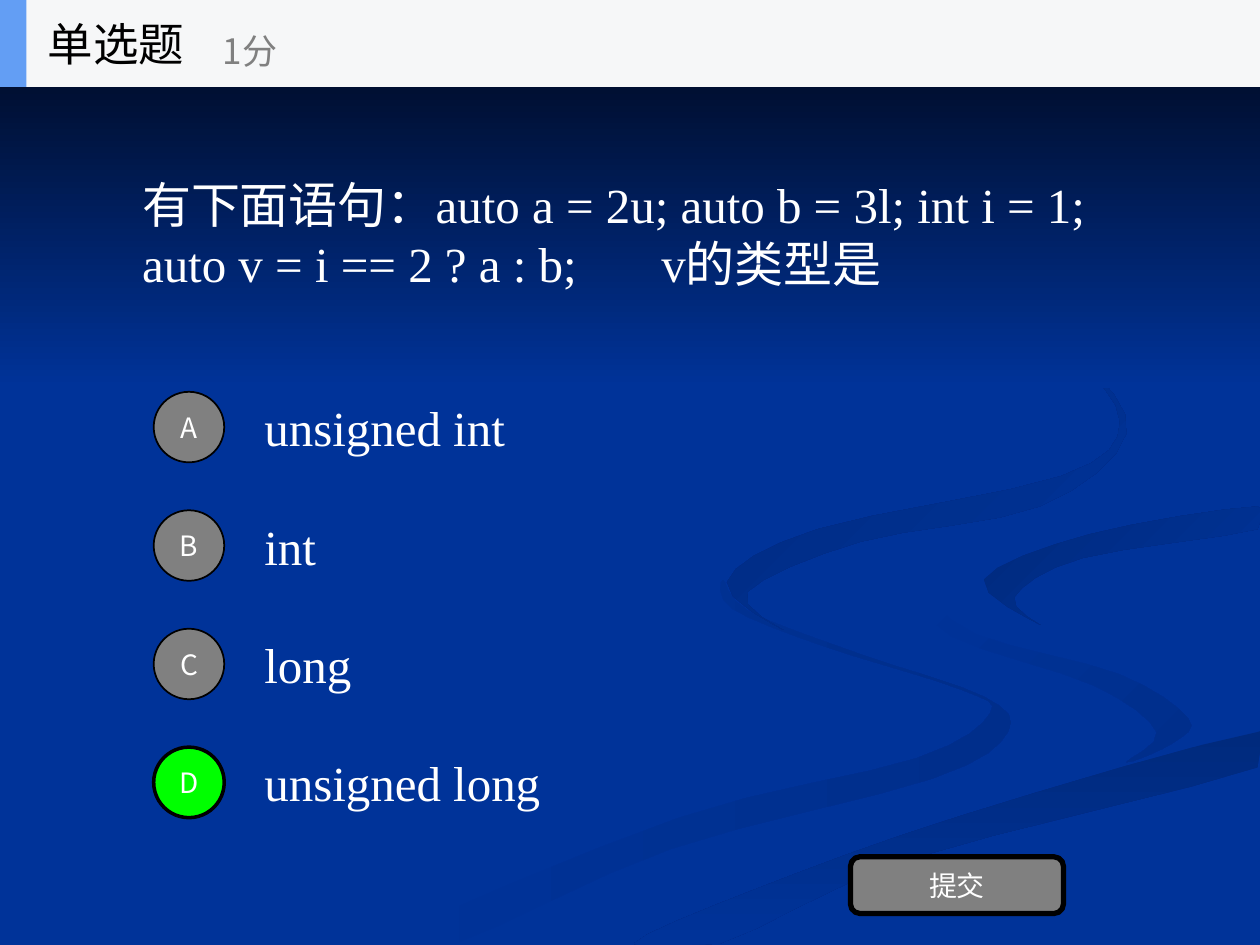
from lxml import etree
from pptx import Presentation
from pptx.dml.color import RGBColor
from pptx.enum.shapes import MSO_SHAPE
from pptx.enum.text import MSO_ANCHOR, MSO_AUTO_SIZE, PP_ALIGN
from pptx.oxml.ns import qn
from pptx.util import Inches, Pt

BLUE = RGBColor(0x00, 0x33, 0x99)
NIGHT = RGBColor(0x00, 0x05, 0x14)
WHITE = RGBColor(0xFF, 0xFF, 0xFF)
BLACK = RGBColor(0x00, 0x00, 0x00)
GRAY = RGBColor(0x80, 0x80, 0x80)
GREEN = RGBColor(0x00, 0xFF, 0x00)
HEADER = RGBColor(0xF6, 0xF7, 0xF8)
ACCENT = RGBColor(0x63, 0x9E, 0xF4)
SHADE = RGBColor(0x00, 0x2E, 0x8B)
DEEP_SHADE = RGBColor(0x00, 0x2A, 0x7D)
SERIF = "Times New Roman"
SANS = "Noto Sans CJK SC"


def paint(shape, start, end=None, angle=0, line=None, line_width=1):
    """Fill with one colour, or a gradient at a clockwise angle; outline if asked."""
    shape.shadow.inherit = False
    if end is None:
        shape.fill.solid()
        shape.fill.fore_color.rgb = start
    else:
        shape.fill.gradient()
        shape.fill.gradient_angle = -angle % 360
        for stop, color, position in zip(shape.fill.gradient_stops, (start, end), (0, 1)):
            stop.color.rgb = color
            stop.position = position
    if line is None:
        shape.line.fill.background()
    else:
        shape.line.color.rgb = line
        shape.line.width = Pt(line_width)


def write(shape, text, size, font, color, align=PP_ALIGN.LEFT):
    frame = shape.text_frame
    frame.text = text
    frame.word_wrap = True
    frame.auto_size = MSO_AUTO_SIZE.NONE
    frame.vertical_anchor = MSO_ANCHOR.MIDDLE
    frame.paragraphs[0].alignment = align
    run = frame.paragraphs[0].runs[0]
    run.font.size = Pt(size)
    run.font.name = font
    run.font.color.rgb = color
    east_asian = etree.SubElement(run.font._element, qn("a:ea"))
    east_asian.set("typeface", SANS)


prs = Presentation()
prs.slide_width = Inches(10)
prs.slide_height = Inches(7.5)
slide = prs.slides.add_slide(prs.slide_layouts[5])
shapes = slide.shapes
slide.background.fill.solid()
slide.background.fill.fore_color.rgb = BLUE

# Background ribbons: knots in inches, joined by a smooth closed curve
ribbons = [
    ([(7.81, 5.53), (6.82, 5.19), (5.94, 4.85), (5.74, 4.6), (5.81, 4.83),
      (6.54, 5.13), (7.62, 5.47), (7.86, 5.66), (7.27, 6.02), (5.39, 6.49),
      (3, 7.49), (3.61, 7.49), (5.32, 6.74), (7.4, 6.18), (8, 5.81)],
     BLUE, SHADE, 0),
    ([(9.43, 5.7), (8.88, 5.35), (7.74, 5.03), (7.24, 4.64), (7.55, 5.05),
      (8.68, 5.44), (9.18, 5.81), (8.94, 6.05), (9.32, 5.89)],
     BLUE, SHADE, 45),
    ([(5.03, 7.49), (5.71, 7.49), (7.22, 6.82), (9.98, 6.09), (9.98, 5.81),
      (7.64, 6.47), (5.99, 7.06)], DEEP_SHADE, BLUE, 90),
    ([(7.81, 4.6), (8.26, 4.96), (8.05, 4.74), (8.59, 4.43), (9.98, 4.2),
      (9.98, 4.02), (8.65, 4.24)], DEEP_SHADE, BLUE, 45),
    ([(6.83, 4.3), (8.25, 4.02), (8.94, 3.44), (8.54, 2.83), (7.62, 2.33),
      (8.46, 2.79), (8.89, 3.35), (8.42, 3.78), (6.49, 4.2), (5.77, 4.62),
      (6.22, 5), (5.93, 4.7)], DEEP_SHADE, BLUE, 45),
]
for knots, start, end, angle in ribbons:
    curve = []
    for i in range(len(knots)):
        neighbours = [knots[(i + k) % len(knots)] for k in (-1, 0, 1, 2)]
        for t in (0, 0.25, 0.5, 0.75):
            x, y = (b + t * (c - a) / 2 + t**2 * (2 * a - 5 * b + 4 * c - d) / 2
                    + t**3 * (3 * b - a - 3 * c + d) / 2
                    for a, b, c, d in zip(*neighbours))
            curve.append((Inches(min(x, 10)), Inches(min(y, 7.5))))
    builder = shapes.build_freeform(*curve[0])
    builder.add_line_segments(curve[1:], close=True)
    paint(builder.convert_to_shape(), start, end, angle)

night_sky = shapes.add_shape(MSO_SHAPE.RECTANGLE, 0, 0, Inches(10), Inches(3.08))
paint(night_sky, NIGHT, BLUE, 90)

# Question, with a tab stop before its last words
question = shapes.add_textbox(Inches(1.03), Inches(0.68), Inches(8), Inches(2.34))
write(question, "有下面语句：auto a = 2u; auto b = 3l; int i = 1; "
      "auto v = i == 2 ? a : b;\tv的类型是", 28, SERIF, WHITE)
paragraph_props = question.text_frame.paragraphs[0]._p.get_or_add_pPr()
tab_list = etree.SubElement(paragraph_props, qn("a:tabLst"))
etree.SubElement(tab_list, qn("a:tab"), pos=str(Inches(4.12)), algn="l")

# Answers
correct = "D"
answers = ["unsigned int", "int", "long", "unsigned long"]
for row, (letter, answer) in enumerate(zip("ABCD", answers)):
    top = 3.04 + 0.94 * row
    label = shapes.add_textbox(Inches(2), Inches(top), Inches(7), Inches(0.7))
    write(label, answer, 28, SERIF, WHITE)
    badge = shapes.add_shape(MSO_SHAPE.OVAL, Inches(1.22), Inches(top + 0.07),
                             Inches(0.56), Inches(0.56))
    if letter == correct:
        paint(badge, GREEN, line=BLACK, line_width=2)
    else:
        paint(badge, GRAY, line=BLACK)
    write(badge, letter, 16, SANS, WHITE, PP_ALIGN.CENTER)

submit = shapes.add_shape(MSO_SHAPE.ROUNDED_RECTANGLE, Inches(6.75), Inches(6.8),
                          Inches(1.69), Inches(0.45))
paint(submit, GRAY, line=BLACK, line_width=3)
write(submit, "提交", 16, SANS, WHITE, PP_ALIGN.CENTER)

# Header
for width, color in ((10, HEADER), (0.21, ACCENT)):
    paint(shapes.add_shape(MSO_SHAPE.RECTANGLE, 0, 0, Inches(width), Inches(0.69)), color)

title = shapes.title
title.left, title.top = Inches(0.28), Inches(0)
title.width, title.height = Inches(2.08), Inches(0.69)
write(title, "单选题", 26, SANS, BLACK)
shapes.element.append(title.element)  # bring in front of the header bar

score = shapes.add_textbox(Inches(1.67), Inches(0.12), Inches(2.5), Inches(0.56))
write(score, "1分", 20, SANS, GRAY)

prs.save("out.pptx")
